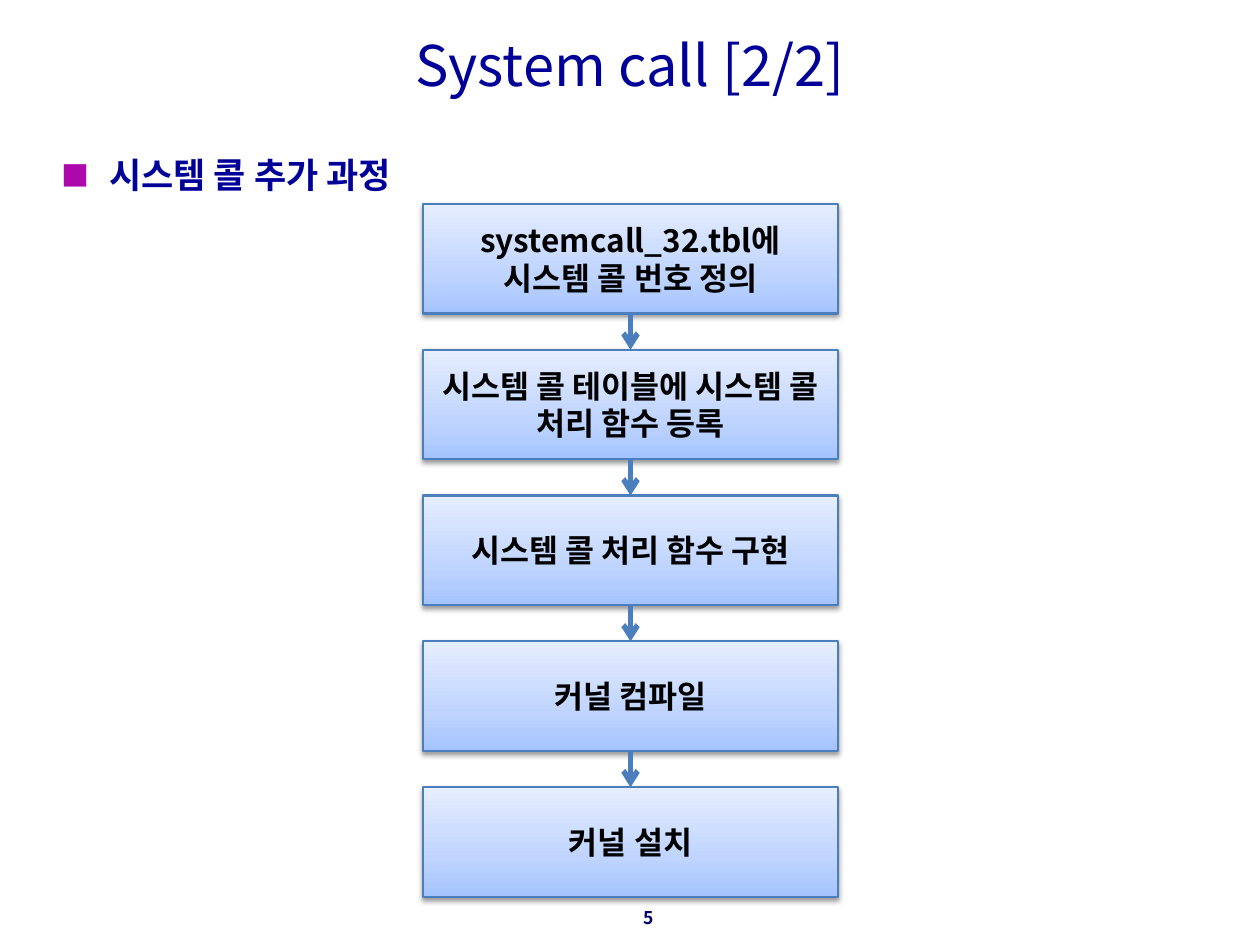
from dataclasses import dataclass

import pptx
import pptx.dml.color
import pptx.enum.shapes
import pptx.enum.text
import pptx.oxml
import pptx.oxml.ns
import pptx.util
from lxml import etree
from pptx.util import Cm

RGBColor = pptx.dml.color.RGBColor
PP_ALIGN = pptx.enum.text.PP_ALIGN
MSO_ANCHOR = pptx.enum.text.MSO_ANCHOR
qn = pptx.oxml.ns.qn

NAVY = RGBColor(0x00, 0x00, 0x99)
DARK_NAVY = RGBColor(0x00, 0x00, 0x66)
BLACK = RGBColor(0x00, 0x00, 0x00)
PURPLE = RGBColor(0xAC, 0x08, 0xAC)
STEEL_BLUE = RGBColor(0x4B, 0x7E, 0xBC)
BOX_GRADIENT = (
    (0, RGBColor(0xA4, 0xC4, 0xFF)),
    (35, RGBColor(0xBF, 0xD4, 0xFF)),
    (100, RGBColor(0xE6, 0xEE, 0xFF)),
)
FONT = "Noto Sans CJK KR"
NAMESPACE = pptx.oxml.ns.nsdecls("a")

BOX_LEFT, BOX_TOP = 8.53, 4.11
BOX_WIDTH, BOX_HEIGHT = 8.36, 2.21
BOX_PITCH = 2.94


@dataclass(frozen=True)
class TextStyle:
    size: float
    color: RGBColor
    bold: bool = False
    align: PP_ALIGN = PP_ALIGN.CENTER


@dataclass(frozen=True)
class Step:
    lines: tuple[str, ...]


TITLE_STYLE = TextStyle(32, NAVY)
HEADING_STYLE = TextStyle(20, NAVY, True, PP_ALIGN.LEFT)
STEP_STYLE = TextStyle(18, BLACK, True)
NUMBER_STYLE = TextStyle(10, DARK_NAVY, True, PP_ALIGN.RIGHT)

STEPS = (
    Step(("systemcall_32.tbl에", "시스템 콜 번호 정의")),
    Step(("시스템 콜 테이블에 시스템 콜 처리 함수 등록",)),
    Step(("시스템 콜 처리 함수 구현",)),
    Step(("커널 컴파일",)),
    Step(("커널 설치",)),
)


def apply_format(target, values: dict) -> None:
    for attribute, value in values.items():
        setattr(target, attribute, value)


def write_text(frame, lines: tuple[str, ...], style: TextStyle, anchor: MSO_ANCHOR) -> None:
    apply_format(frame, {"word_wrap": True, "vertical_anchor": anchor})
    frame.text = "\n".join(lines)
    for paragraph in frame.paragraphs:
        paragraph.alignment = style.align
        for run in paragraph.runs:
            apply_format(run.font, {
                "size": pptx.util.Pt(style.size),
                "bold": style.bold,
                "name": FONT,
            })
            run.font.color.rgb = style.color
            etree.SubElement(run._r.get_or_add_rPr(), qn("a:ea"), typeface=FONT)


def add_label(slide, left: float, top: float, width: float, height: float,
              text: str, style: TextStyle):
    label = slide.shapes.add_textbox(Cm(left), Cm(top), Cm(width), Cm(height))
    write_text(label.text_frame, (text,), style, MSO_ANCHOR.TOP)
    return label


def add_bullet(paragraph) -> None:
    properties = paragraph._p.get_or_add_pPr()
    apply_format(paragraph, {"space_before": pptx.util.Pt(4)})
    for name, value in {"marL": Cm(0.96), "indent": -Cm(0.96)}.items():
        properties.set(name, str(int(value)))
    color = etree.SubElement(properties, qn("a:buClr"))
    etree.SubElement(color, qn("a:srgbClr"), val=str(PURPLE))
    etree.SubElement(properties, qn("a:buSzPct"), val="80000")
    etree.SubElement(properties, qn("a:buFont"), typeface=FONT)
    etree.SubElement(properties, qn("a:buChar"), char="■")


def add_step(slide, step: Step, top: float):
    box = slide.shapes.add_shape(
        pptx.enum.shapes.MSO_SHAPE.RECTANGLE,
        Cm(BOX_LEFT), Cm(top), Cm(BOX_WIDTH), Cm(BOX_HEIGHT))
    stops = "".join(
        f'<a:gs pos="{position * 1000}"><a:srgbClr val="{color}"/></a:gs>'
        for position, color in BOX_GRADIENT)
    box._element.spPr.find(qn("a:prstGeom")).addnext(pptx.oxml.parse_xml(
        f'<a:gradFill {NAMESPACE} rotWithShape="1"><a:gsLst>{stops}</a:gsLst>'
        '<a:lin ang="16200000" scaled="0"/></a:gradFill>'))
    box.line.color.rgb = STEEL_BLUE
    box.line.width = pptx.util.Pt(1.25)
    box._element.spPr.append(pptx.oxml.parse_xml(
        f'<a:effectLst {NAMESPACE}><a:outerShdw blurRad="{pptx.util.Pt(3.1)}" '
        f'dist="{pptx.util.Pt(1.6)}" dir="5400000" rotWithShape="0">'
        f'<a:srgbClr val="{BLACK}"><a:alpha val="38000"/></a:srgbClr>'
        '</a:outerShdw></a:effectLst>'))
    write_text(box.text_frame, step.lines, STEP_STYLE, MSO_ANCHOR.MIDDLE)
    return box


def add_arrow(slide, upper, lower) -> None:
    arrow = slide.shapes.add_connector(pptx.enum.shapes.MSO_CONNECTOR.STRAIGHT, 0, 0, 0, 0)
    arrow.begin_connect(upper, 2)
    arrow.end_connect(lower, 0)
    arrow.line.color.rgb = STEEL_BLUE
    arrow.line.width = pptx.util.Pt(3)
    etree.SubElement(arrow.line._get_or_add_ln(), qn("a:tailEnd"), type="arrow")
    etree.SubElement(arrow._element.spPr, qn("a:effectLst"))


def main() -> None:
    deck = pptx.Presentation()
    apply_format(deck, {"slide_width": Cm(25.4), "slide_height": Cm(19.05)})
    slide = deck.slides.add_slide(deck.slide_layouts[5])

    title = slide.shapes.title
    apply_format(title, {"left": Cm(1.27), "top": Cm(0.41),
                         "width": Cm(22.86), "height": Cm(1.78)})
    write_text(title.text_frame, ("System call [2/2]",), TITLE_STYLE, MSO_ANCHOR.MIDDLE)

    heading = add_label(slide, 0.99, 2.97, 23.39, 14.1, "시스템 콜 추가 과정", HEADING_STYLE)
    add_bullet(heading.text_frame.paragraphs[0])
    add_label(slide, 8.15, 18.16, 5.28, 0.86, "5", NUMBER_STYLE)

    boxes = [add_step(slide, step, BOX_TOP + index * BOX_PITCH)
             for index, step in enumerate(STEPS)]
    for upper, lower in zip(boxes, boxes[1:]):
        add_arrow(slide, upper, lower)

    deck.save("out.pptx")


if __name__ == "__main__":
    main()
